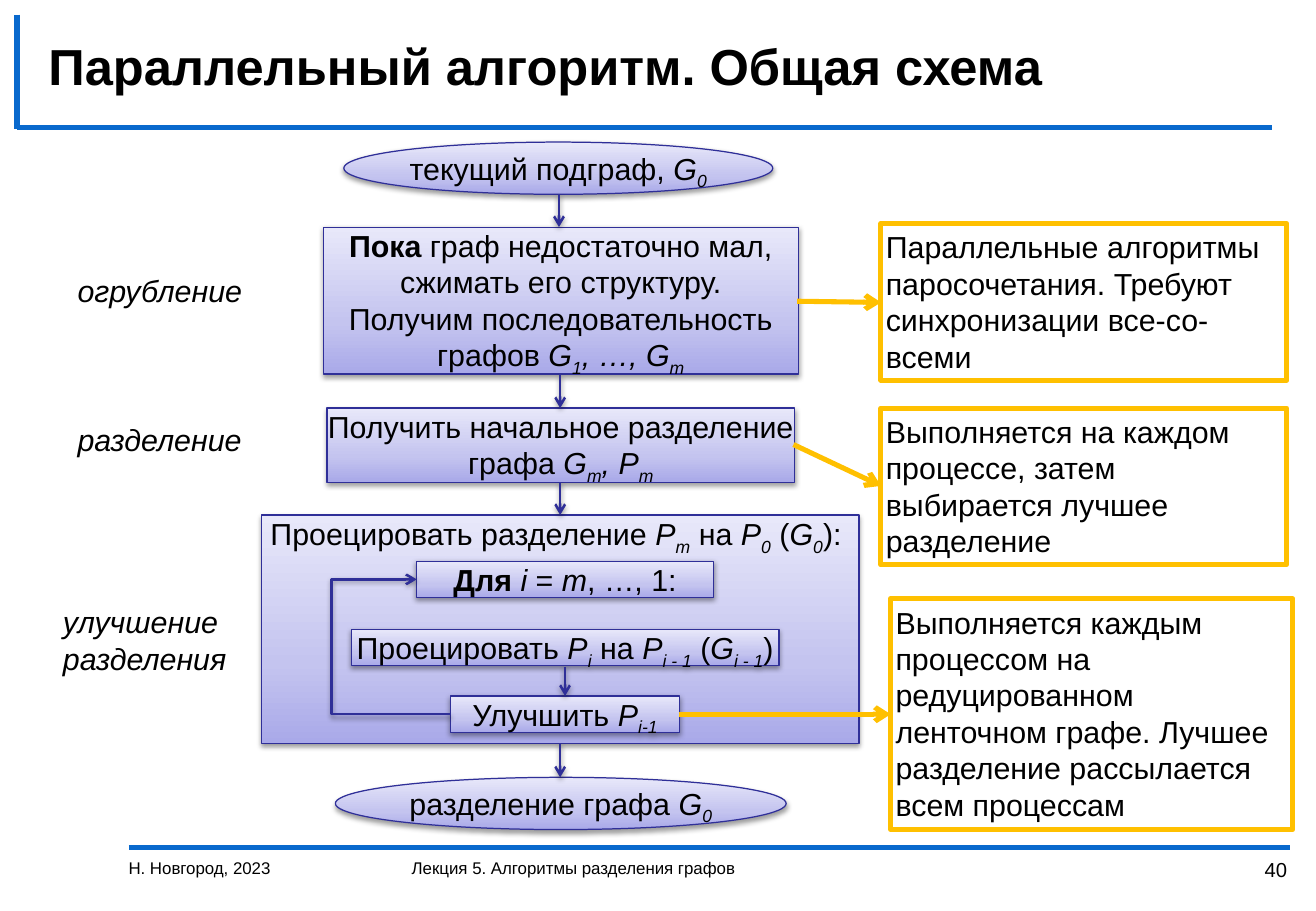
from pptx import Presentation
from pptx import util as u
from pptx.dml.color import RGBColor
from pptx.enum import shapes, text
from pptx.oxml import parse_xml
from pptx.oxml.ns import nsdecls, qn

PX = 9144  # EMU per px, 100 px to the inch


def px(length):
    return u.Emu(length * PX)


def color(hex_code):
    return RGBColor.from_string(hex_code)


def xml(tag, attrs="", inner=""):
    return parse_xml(f"<a:{tag} {nsdecls('a')} {attrs}>{inner}</a:{tag}>")


def shadow():
    return xml("outerShdw", 'blurRad="39370" dist="20320" dir="5400000" rotWithShape="0"',
               '<a:srgbClr val="000000"><a:alpha val="38000"/></a:srgbClr>')


def write(shape, paragraphs, size=18, bold=False, italic=False, align="LEFT",
          anchor="TOP", inset=(10, 5)):
    """Each paragraph is a list of strings or (string, marks): b bold, i italic, s subscript."""
    frame = shape.text_frame
    frame.word_wrap = True
    frame.vertical_anchor = getattr(text.MSO_ANCHOR, anchor)
    frame.margin_left = frame.margin_right = px(inset[0])
    frame.margin_top = frame.margin_bottom = px(inset[1])
    for n, pieces in enumerate(paragraphs):
        paragraph = frame.add_paragraph() if n else frame.paragraphs[0]
        paragraph.alignment = getattr(text.PP_ALIGN, align)
        for piece in pieces:
            words, marks = (piece, "") if isinstance(piece, str) else piece
            run = paragraph.add_run()
            run.text = words
            font = run.font
            font.name, font.size = "Arial", u.Pt(size)
            font.color.rgb = color("000000")
            font.bold = bold or "b" in marks
            font.italic = italic or "i" in marks
            if "s" in marks:
                run._r.get_or_add_rPr().set("baseline", "-25000")


class SchemeSlide:
    rule, navy, amber = "0969CD", "2F2F98", "FFC000"
    lilac = [(0, "A9A9E9"), (35, "C4C4EF"), (100, "E8E8FA")]

    def __init__(self, deck):
        self.slide = deck.slides.add_slide(deck.slide_layouts[6])

    def label(self, box, paragraphs, **style):
        write(self.slide.shapes.add_textbox(*map(px, box)), paragraphs, **style)

    def frame(self, kind, box, line, width):
        shape = self.slide.shapes.add_shape(kind, *map(px, box))
        shape.shadow.inherit = False
        shape.line.color.rgb = color(line)
        shape.line.width = u.Pt(width)
        return shape

    def step(self, box, *paragraphs, oval=False):
        kind = shapes.MSO_SHAPE.OVAL if oval else shapes.MSO_SHAPE.RECTANGLE
        shape = self.frame(kind, box, self.navy, 0.75)
        shape.fill.gradient()
        shape.fill.gradient_angle = 90
        properties = shape.element.spPr
        stops = properties.find(".//" + qn("a:gsLst"))
        stops[:] = [xml("gs", f'pos="{at * 1000}"', f'<a:srgbClr val="{tint}"/>')
                    for at, tint in self.lilac]
        properties.find(qn("a:effectLst")).append(shadow())
        write(shape, paragraphs, align="CENTER", inset=(0, 0))

    def remark(self, box, words):
        shape = self.frame(shapes.MSO_SHAPE.RECTANGLE, box, self.amber, 3)
        shape.fill.background()
        write(shape, [[words]], inset=(4, 4))

    def line(self, ends, tint, width, arrow=False, shaded=False, bend=None):
        kind = shapes.MSO_CONNECTOR.ELBOW if bend else shapes.MSO_CONNECTOR.STRAIGHT
        link = self.slide.shapes.add_connector(kind, *map(px, ends))
        link.line.color.rgb = color(tint)
        link.line.width = u.Pt(width)
        properties = link._element.spPr
        if arrow:
            properties.find(qn("a:ln")).append(xml("tailEnd", 'type="arrow"'))
        if bend:
            guides = properties.find(".//" + qn("a:avLst"))
            guides.append(xml("gd", f'name="adj1" fmla="val {round(bend * 100000)}"'))
        effects = xml("effectLst")
        if shaded:
            effects.append(shadow())
        properties.append(effects)

    def flow(self, *ends, bend=None):
        self.line(ends, self.navy, 1.5, arrow=True, shaded=True, bend=bend)


def main():
    deck = Presentation()
    deck.slide_width, deck.slide_height = px(1083), px(750)
    page = SchemeSlide(deck)

    # Rules, title and footer
    for ends in [(106, 698, 1062, 698), (14, 105, 1047, 105), (14, 12, 14, 106)]:
        page.line(ends, page.rule, 3)
    page.label((30, 23, 1035, 61), [["Параллельный алгоритм. Общая схема"]],
               size=30, bold=True, anchor="MIDDLE")
    page.label((96, 701, 224, 49), [["Н. Новгород, 2023"]], size=10)
    page.label((329, 701, 630, 49), [["Лекция 5. Алгоритмы разделения графов"]], size=10)
    page.label((967, 701, 102, 49), [["40"]], size=12, align="RIGHT")

    # Stage names
    for x, y, lines in [(54, 219, ["огрубление"]), (54, 342, ["разделение"]),
                        (42, 492, ["улучшение", "разделения"])]:
        page.label((x, y, 180, 40), [[name] for name in lines], italic=True)

    # Steps of the scheme
    page.step((283, 117, 353, 43), ["текущий подграф, ", ("G", "i"), ("0", "is")], oval=True)
    page.step((266, 187, 391, 121),
              [("Пока", "b"), " граф недостаточно мал, сжимать его структуру."],
              ["Получим последовательность графов ", ("G", "i"), ("1", "is"),
               (", …, G", "i"), ("m", "is")])
    page.step((269, 336, 385, 61),
              ["Получить начальное разделение графа ", ("G", "i"), ("m", "is"),
               (", P", "i"), ("m", "is")])
    page.step((215, 424, 492, 188),
              ["Проецировать разделение ", ("P", "i"), ("m", "is"), " на ",
               ("P", "i"), ("0", "is"), " (", ("G", "i"), ("0", "is"), "): "])
    page.step((343, 462, 244, 30),
              [("Для ", "b"), ("i", "i"), " = ", ("m", "i"), ", …, 1:"])
    page.step((289, 518, 352, 30),
              ["Проецировать ", ("P", "i"), ("i", "is"), " на ", ("P", "i"),
               ("i - 1", "is"), " (", ("G", "i"), ("i - 1", "is"), ")"])
    page.step((371, 573, 188, 30), ["Улучшить ", ("P", "i"), ("i-1", "is")])
    page.step((276, 640, 371, 43), ["разделение графа ", ("G", "i"), ("0", "is")], oval=True)

    # Arrows between steps, then the loop back
    for x, top, bottom in [(460, 160, 187), (461, 309, 336), (461, 397, 424),
                           (465, 549, 573), (461, 612, 640)]:
        page.flow(x, top, x, bottom)
    page.flow(371, 588, 343, 477, bend=3.5)

    # Remarks on parallel execution and their arrows
    remarks = [
        ((725, 184, 334, 129), (656, 248, 725, 249),
         "Параллельные алгоритмы паросочетания. Требуют синхронизации все-со-всеми"),
        ((725, 336, 334, 129), (653, 366, 725, 400),
         "Выполняется на каждом процессе, затем выбирается лучшее разделение"),
        ((733, 493, 331, 190), (559, 588, 733, 588),
         "Выполняется каждым процессом на редуцированном ленточном графе. "
         "Лучшее разделение рассылается всем процессам"),
    ]
    for box, ends, words in remarks:
        page.remark(box, words)
        page.line(ends, page.amber, 3, arrow=True)

    deck.save("out.pptx")


if __name__ == "__main__":
    main()
